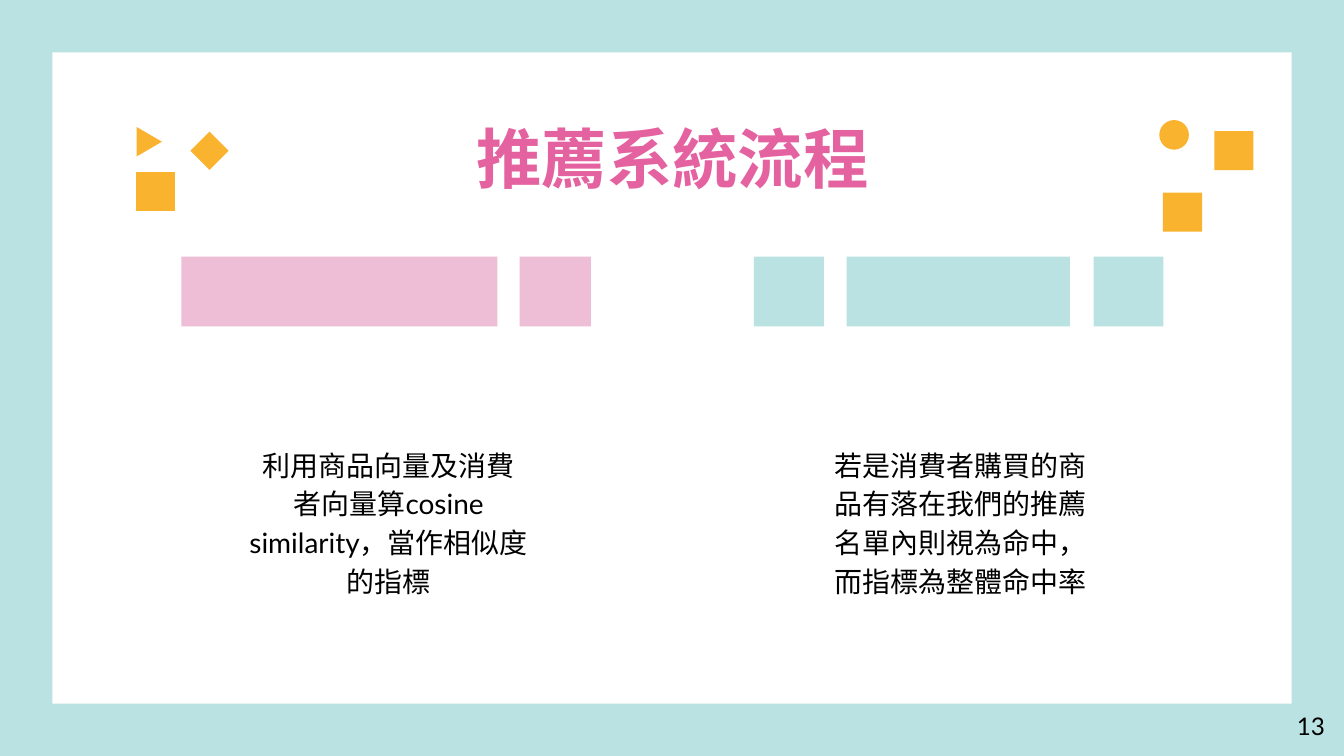
from dataclasses import dataclass

from pptx import Presentation
from pptx.dml.color import RGBColor
from pptx.enum.shapes import MSO_SHAPE
from pptx.enum.text import MSO_ANCHOR, PP_ALIGN
from pptx.util import Cm, Pt


@dataclass(frozen=True)
class Theme:
    white: str = "FFFFFF"
    black: str = "000000"
    teal: str = "BBE2E2"
    pink: str = "EEBDD6"
    magenta: str = "E562A0"
    amber: str = "FAB32E"
    title_font: str = "Arial"
    body_font: str = "Lato"
    title_size: int = 35
    body_size: int = 15
    number_size: int = 13


THEME = Theme()
SLIDE_WIDTH, SLIDE_HEIGHT = 25.4, 14.29
FRAME = 0.99
BAR_TOP, BAR_HEIGHT = 4.85, 1.32
BODY_TOP = 8.13
INSET = 0.25


def add_filled_shape(shapes, kind, left, top, width, height, color, rotation=0):
    shape = shapes.add_shape(kind, Cm(left), Cm(top), Cm(width), Cm(height))
    shape.shadow.inherit = False
    shape.fill.solid()
    shape.fill.fore_color.rgb = RGBColor.from_string(color)
    shape.line.fill.background()
    shape.rotation = rotation


def add_bars(slide, color, spans):
    """Draw one row of blocks; each span is (left, width)."""
    group = slide.shapes.add_group_shape()
    for left, width in spans:
        add_filled_shape(group.shapes, MSO_SHAPE.RECTANGLE,
                         left, BAR_TOP, width, BAR_HEIGHT, color)


def add_confetti(slide, pieces):
    """Draw a cluster; each piece is (kind, left, top, width, height, rotation)."""
    group = slide.shapes.add_group_shape()
    for *placement, rotation in pieces:
        add_filled_shape(group.shapes, *placement, THEME.amber, rotation)


def add_text(slide, text, left, top, width, height, font, size,
             color=THEME.black, bold=False, align=PP_ALIGN.CENTER,
             anchor=MSO_ANCHOR.MIDDLE, bottom_inset=INSET):
    box = slide.shapes.add_textbox(Cm(left), Cm(top), Cm(width), Cm(height))
    frame = box.text_frame
    frame.word_wrap = True
    frame.vertical_anchor = anchor
    frame.margin_left = frame.margin_right = frame.margin_top = Cm(INSET)
    frame.margin_bottom = Cm(bottom_inset)
    paragraph = frame.paragraphs[0]
    paragraph.text = text
    paragraph.alignment = align
    paragraph.font.name = font
    paragraph.font.size = Pt(size)
    paragraph.font.bold = bold
    paragraph.font.color.rgb = RGBColor.from_string(color)
    return paragraph


def add_body(slide, text, left, width, height):
    paragraph = add_text(slide, text, left, BODY_TOP, width, height,
                         THEME.body_font, THEME.body_size,
                         anchor=MSO_ANCHOR.TOP, bottom_inset=0)
    paragraph.line_spacing = 1.15
    paragraph.space_after = Pt(16)


def main():
    presentation = Presentation()
    presentation.slide_width = Cm(SLIDE_WIDTH)
    presentation.slide_height = Cm(SLIDE_HEIGHT)
    slide = presentation.slides.add_slide(presentation.slide_layouts[6])
    slide.background.fill.solid()
    slide.background.fill.fore_color.rgb = RGBColor.from_string(THEME.teal)

    add_filled_shape(slide.shapes, MSO_SHAPE.RECTANGLE, FRAME, FRAME,
                     SLIDE_WIDTH - 2 * FRAME, SLIDE_HEIGHT - 2 * FRAME, THEME.white)
    title = add_text(slide, "推薦系統流程", 2.16, 2.31, 21.11, 1.6,
                     THEME.title_font, THEME.title_size, THEME.magenta, bold=True)
    title.line_spacing = 0.8

    add_bars(slide, THEME.pink, [(3.43, 5.97), (9.82, 1.35)])
    add_bars(slide, THEME.teal, [(16, 4.22), (14.25, 1.32), (20.67, 1.32)])

    add_confetti(slide, [
        (MSO_SHAPE.DIAMOND, 2.42, 3.1, 1.05, 1.05, 315),
        (MSO_SHAPE.DIAMOND, 3.6, 2.49, 0.72, 0.72, 0),
        (MSO_SHAPE.ISOSCELES_TRIANGLE, 2.54, 2.44, 0.56, 0.48, 90),
    ])
    add_confetti(slide, [
        (MSO_SHAPE.RECTANGLE, 22.95, 2.48, 0.74, 0.74, 0),
        (MSO_SHAPE.RECTANGLE, 21.98, 3.64, 0.74, 0.74, 0),
        (MSO_SHAPE.OVAL, 21.91, 2.27, 0.56, 0.56, 0),
    ])

    add_body(slide, "利用商品向量及消費者向量算cosine similarity，當作相似度的指標",
             4.45, 5.79, 3.07)
    add_body(slide, "若是消費者購買的商品有落在我們的推薦名單內則視為命中，而指標為整體命中率",
             15.47, 5.38, 3.58)
    add_text(slide, "13", 23.77, 13.18, 1.52, 1.09, THEME.body_font,
             THEME.number_size, align=PP_ALIGN.RIGHT)

    presentation.save("out.pptx")


if __name__ == "__main__":
    main()
